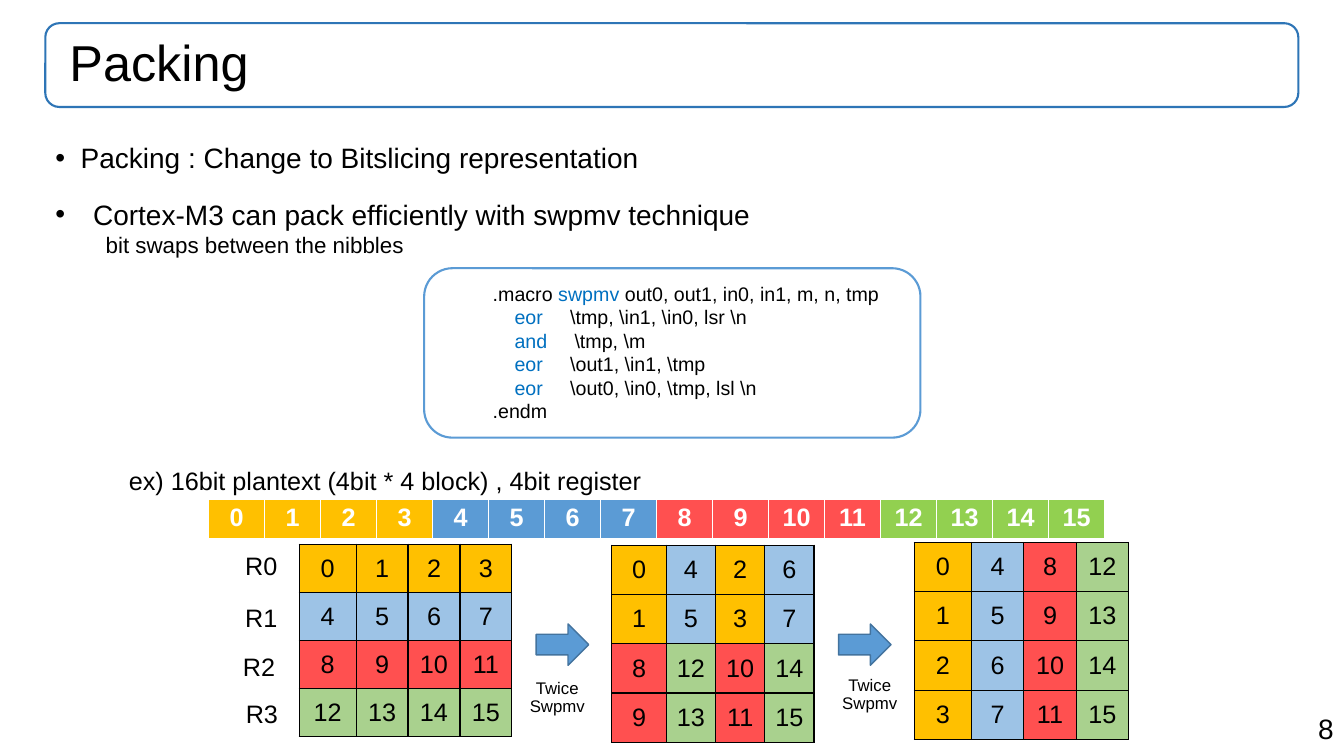
from dataclasses import dataclass

from lxml import etree
from pptx import Presentation
from pptx import util as u
from pptx.dml import color as dml
from pptx.enum import shapes, text
from pptx.oxml import ns

Pt = u.Pt
FONT = "Arial"
BLACK, WHITE, BLUE, KEYWORD = "000000", "FFFFFF", "5B9BD5", "0070C0"
STRIP_COLORS = ["FFC000", BLUE, "FF5050", "92D050"]
GRID_COLORS = ["FFC000", "9DC3E6", "FF5050", "A9D18E"]
LEFT, CENTER, RIGHT = text.PP_ALIGN.LEFT, text.PP_ALIGN.CENTER, text.PP_ALIGN.RIGHT


@dataclass
class Box:
    left: float
    top: float
    width: float
    height: float


@dataclass
class Label:
    words: str
    box: Box
    size: float = 18
    align: int = LEFT
    spacing: float = 1.0


@dataclass
class Grid:
    left: float
    top: float
    first_column: float
    other_columns: float
    row_height: float
    rows: list


BULLETS = Label("Packing : Change to Bitslicing representation",
                Box(32.4, 99.4, 895, 35.3), 20, spacing=0.9)
TECHNIQUE = Label("Cortex-M3 can pack efficiently with swpmv technique\nbit swaps between the nibbles",
                  Box(32.4, 137.5, 804, 70.5), 20)
LABELS = [
    Label("8", Box(679, 504.7, 280.8, 31.7), 20, RIGHT),
    Label("ex) 16bit plantext (4bit * 4 block) , 4bit register", Box(85, 329, 396, 29)),
    Label("R0", Box(168, 389.5, 44, 29)),
    Label("R1", Box(168, 427, 44, 29)),
    Label("R2", Box(166.5, 461.5, 44, 29)),
    Label("R3", Box(168.5, 495.4, 44, 29)),
    Label("Twice Swpmv", Box(358.5, 482.4, 79.2, 44), 12, CENTER, 0.9),
    Label("Twice Swpmv", Box(581.7, 480.2, 79.2, 44), 12, CENTER, 0.9),
]
ARROWS = [Box(left, 445.7, 37.5, 29.5) for left in (383, 599)]
GRIDS = [
    Grid(213.8, 388.8, 40.6, 37.1, 34.4, [[4 * r + c for c in range(4)] for r in range(4)]),
    Grid(437, 389.5, 39, 35.2, 35.2, [[0, 4, 2, 6], [1, 5, 3, 7], [8, 12, 10, 14], [9, 13, 11, 15]]),
    Grid(653, 387.4, 41, 37.4, 35.2, [[r + 4 * c for c in range(4)] for r in range(4)]),
]
CODE = [
    (".macro ", "swpmv", " out0, out1, in0, in1, m, n, tmp"),
    ("    ", "eor", r"     \tmp, \in1, \in0, lsr \n"),
    ("    ", "and", r"     \tmp, \m"),
    ("    ", "eor", r"     \out1, \in1, \tmp"),
    ("    ", "eor", r"     \out0, \in0, \tmp, lsl \n"),
    (".endm",),
]


def rgb(value: str) -> dml.RGBColor:
    return dml.RGBColor.from_string(value)


def points(box: Box) -> list:
    return [Pt(n) for n in (box.left, box.top, box.width, box.height)]


def style_run(run, size: float, color: str = BLACK, bold: bool = False) -> None:
    run.font.name, run.font.size, run.font.bold = FONT, Pt(size), bold
    run.font.color.rgb = rgb(color)


def indent(paragraph, margin: float, hanging: float = 0, bullet: bool = False) -> None:
    properties = paragraph._p.get_or_add_pPr()
    properties.set("marL", str(Pt(margin)))
    properties.set("indent", str(-Pt(hanging)))
    if bullet:
        etree.SubElement(properties, ns.qn("a:buFont")).set("typeface", FONT)
        etree.SubElement(properties, ns.qn("a:buChar")).set("char", "•")


def write(shape, label: Label, anchor=text.MSO_ANCHOR.TOP) -> list:
    frame = shape.text_frame
    frame.text = label.words
    frame.word_wrap = True
    frame.auto_size = text.MSO_AUTO_SIZE.NONE
    frame.vertical_anchor = anchor
    for paragraph in frame.paragraphs:
        paragraph.alignment = label.align
        paragraph.line_spacing = label.spacing
        paragraph.space_before = Pt(0)
        for run in paragraph.runs:
            style_run(run, label.size)
    return list(frame.paragraphs)


def place(shape, box: Box) -> None:
    shape.left, shape.top, shape.width, shape.height = points(box)


def add_label(slide, label: Label) -> list:
    return write(slide.shapes.add_textbox(*points(label.box)), label)


def add_outline(slide, kind, box: Box, line: str, width: float, fill: str = ""):
    shape = slide.shapes.add_shape(kind, *points(box))
    shape.shadow.inherit = False
    if fill:
        shape.fill.solid()
        shape.fill.fore_color.rgb = rgb(fill)
    else:
        shape.fill.background()
    shape.line.color.rgb = rgb(line)
    shape.line.width = Pt(width)
    return shape


def style_cell(cell, value: int, fill: str, color: str, bottom: float, bold: bool) -> None:
    cell.text = str(value)
    cell.text_frame.paragraphs[0].alignment = CENTER
    style_run(cell.text_frame.paragraphs[0].runs[0], 18, color, bold)
    cell.fill.solid()
    cell.fill.fore_color.rgb = rgb(fill)
    properties = cell._tc.get_or_add_tcPr()
    for position, side in enumerate("LRTB"):
        border = etree.Element(ns.qn(f"a:ln{side}"), w=str(Pt(bottom if side == "B" else 1)))
        solid = etree.SubElement(border, ns.qn("a:solidFill"))
        etree.SubElement(solid, ns.qn("a:srgbClr")).set("val", color)
        properties.insert(position, border)


def add_grid(slide, grid: Grid, palette: list, color: str = BLACK,
             bottom: float = 1, bold: bool = False) -> None:
    count = len(grid.rows[0])
    widths = [grid.first_column] + [grid.other_columns] * (count - 1)
    box = Box(grid.left, grid.top, sum(widths), grid.row_height * len(grid.rows))
    table = slide.shapes.add_table(len(grid.rows), count, *points(box)).table
    table.first_row = table.horz_banding = False
    for column, width in zip(table.columns, widths):
        column.width = Pt(width)
    for row, values in zip(table.rows, grid.rows):
        row.height = Pt(grid.row_height)
        for cell, value in zip(row.cells, values):
            style_cell(cell, value, palette[value // 4], color, bottom, bold)
            if not bold:
                cell.vertical_anchor = text.MSO_ANCHOR.MIDDLE


def main() -> None:
    presentation = Presentation()
    presentation.slide_width, presentation.slide_height = Pt(960), Pt(540)
    slide = presentation.slides.add_slide(presentation.slide_layouts[1])

    # Title in its rounded frame
    title_box = Box(32.4, 16.6, 895, 59.8)
    add_outline(slide, shapes.MSO_SHAPE.ROUNDED_RECTANGLE, title_box, "2E75B6", 1.5)
    title = slide.shapes.title
    place(title, title_box)
    write(title, Label("Packing", title_box, 36, spacing=0.9), text.MSO_ANCHOR.MIDDLE)
    title.text_frame.margin_left = Pt(17.2)

    # Bullets
    body = slide.placeholders[1]
    place(body, BULLETS.box)
    indent(write(body, BULLETS)[0], 18, 18, True)
    technique, detail = add_label(slide, TECHNIQUE)
    indent(technique, 27, 27, True)
    indent(detail, 36)
    style_run(detail.runs[0], 16)

    # Tables of bits
    add_grid(slide, Grid(149, 356.4, 40, 40, 29.5, [list(range(16))]),
             STRIP_COLORS, WHITE, 3, True)
    for grid in GRIDS:
        add_grid(slide, grid, GRID_COLORS)

    # Arrows and labels
    for arrow in ARROWS:
        add_outline(slide, shapes.MSO_SHAPE.RIGHT_ARROW, arrow, "43739E", 1, BLUE)
    for label in LABELS:
        add_label(slide, label)

    # Macro listing
    macro_box = Box(303, 191.6, 354.5, 121)
    macro = add_outline(slide, shapes.MSO_SHAPE.ROUNDED_RECTANGLE, macro_box, BLUE, 1.5)
    lines = "\n".join("" for _ in CODE)
    for paragraph, parts in zip(write(macro, Label(lines, macro_box, 14)), CODE):
        indent(paragraph, 36)
        for position, part in enumerate(parts):
            run = paragraph.add_run()
            run.text = part
            style_run(run, 14, KEYWORD if position == 1 else BLACK)

    presentation.save("out.pptx")


if __name__ == "__main__":
    main()
